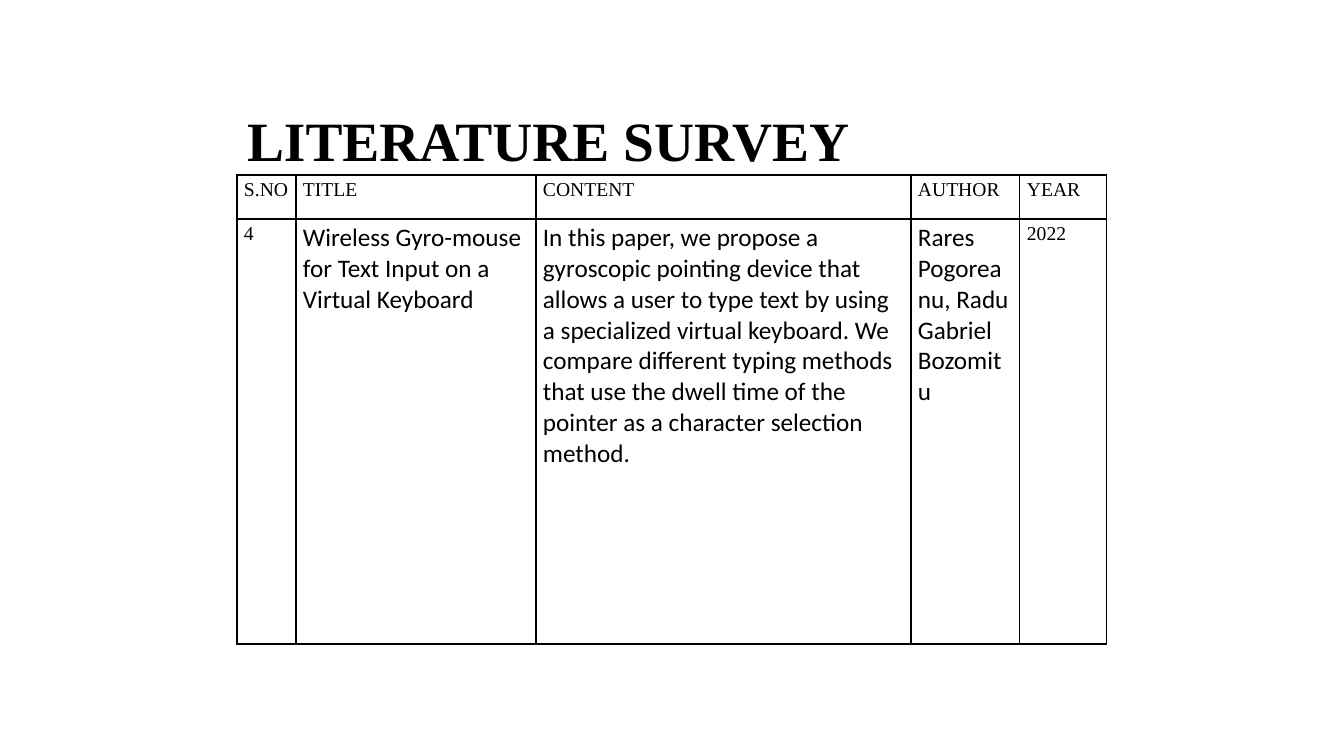
from lxml import etree
from pptx import Presentation
from pptx.dml.color import RGBColor
from pptx.enum import text
from pptx.oxml import ns
from pptx.util import Pt

EMU_PER_PX = 914400 / 100.8
COLORS = {"ink": "000000", "paper": "FFFFFF"}
SERIF, SANS = "Times New Roman", "Calibri"
COLUMN_WIDTHS = [59, 240, 375, 109, 87]
ROW_HEIGHTS = [44, 425]
HEADINGS = ["S.NO", "TITLE", "CONTENT", "AUTHOR", "YEAR"]
PAPER = [
    "4",
    "Wireless Gyro-mouse for Text Input on a Virtual Keyboard",
    "In this paper, we propose a gyroscopic pointing device that allows a user "
    "to type text by using a specialized virtual keyboard. We compare different "
    "typing methods that use the dwell time of the pointer as a character "
    "selection method. ",
    "Rares Pogoreanu, Radu Gabriel Bozomitu",
    "2022",
]


def px(length):
    return round(length * EMU_PER_PX)


def write(frame, content, font=SERIF, size=14, bold=False, spacing=None):
    paragraph = frame.paragraphs[0]
    paragraph.line_spacing = spacing
    run = paragraph.add_run()
    run.text = content
    run.font.name = font
    run.font.size = Pt(size)
    run.font.bold = bold
    run.font.color.rgb = RGBColor.from_string(COLORS["ink"])


def add_borders(cell):
    properties = cell._tc.get_or_add_tcPr()
    for index, side in enumerate(("lnL", "lnR", "lnT", "lnB")):
        line = etree.Element(ns.qn(f"a:{side}"), w=str(Pt(1)))
        fill = etree.SubElement(line, ns.qn("a:solidFill"))
        etree.SubElement(fill, ns.qn("a:srgbClr"), val=COLORS["ink"])
        properties.insert(index, line)


def fill_cell(cell, content, **style):
    cell.margin_left = cell.margin_right = px(7)
    cell.margin_top = cell.margin_bottom = px(4)
    cell.fill.solid()
    cell.fill.fore_color.rgb = RGBColor.from_string(COLORS["paper"])
    write(cell.text_frame, content, **style)
    add_borders(cell)


def add_heading(slide):
    heading = slide.shapes.title
    heading.left, heading.top = px(237), px(111)
    heading.width, heading.height = px(869), px(65)
    frame = heading.text_frame
    frame.word_wrap = True
    frame.auto_size = text.MSO_AUTO_SIZE.NONE
    frame.vertical_anchor = text.MSO_ANCHOR.MIDDLE
    write(frame, "LITERATURE SURVEY", size=39.6, bold=True, spacing=0.9)
    frame.paragraphs[0].alignment = text.PP_ALIGN.LEFT


def add_survey(slide):
    survey = slide.shapes.add_table(
        len(ROW_HEIGHTS), len(COLUMN_WIDTHS), px(237), px(175),
        px(sum(COLUMN_WIDTHS)), px(sum(ROW_HEIGHTS))).table
    for column, width in zip(survey.columns, COLUMN_WIDTHS):
        column.width = px(width)
    for row, height in zip(survey.rows, ROW_HEIGHTS):
        row.height = px(height)

    # Headings and short values are serif; the paper's details are larger sans
    for index, (heading, detail) in enumerate(zip(HEADINGS, PAPER)):
        fill_cell(survey.cell(0, index), heading)
        is_detail = heading in ("TITLE", "CONTENT", "AUTHOR")
        style = {"font": SANS, "size": 18} if is_detail else {}
        fill_cell(survey.cell(1, index), detail, **style)


def main():
    deck = Presentation()
    deck.slide_width, deck.slide_height = px(1344), px(756)
    slide = deck.slides.add_slide(deck.slide_layouts[5])
    add_heading(slide)
    add_survey(slide)
    deck.save("out.pptx")


if __name__ == "__main__":
    main()
